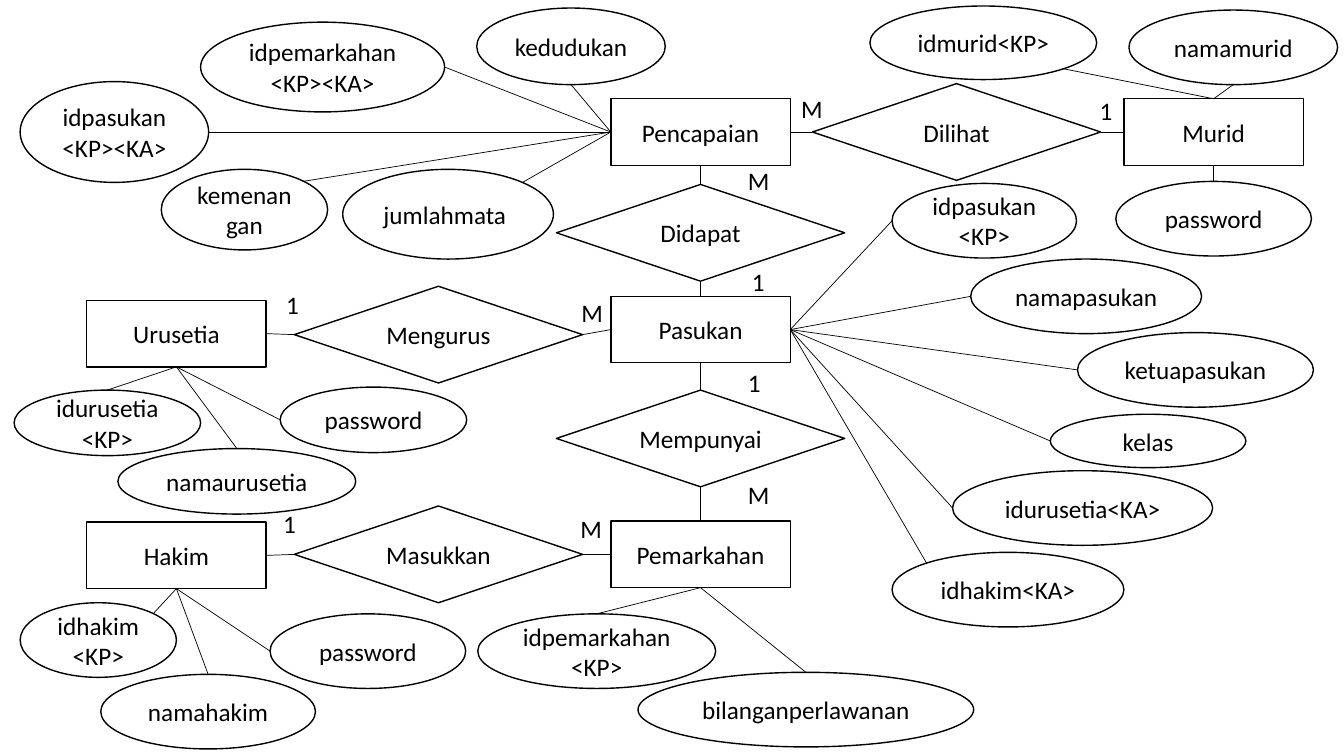
from pptx import Presentation
from pptx.dml.color import RGBColor
from pptx.enum.shapes import MSO_CONNECTOR as CXN, MSO_SHAPE as SHP
from pptx.enum.text import MSO_ANCHOR as ANCHOR, MSO_AUTO_SIZE as FIT, PP_ALIGN as ALIGN
from pptx.oxml.ns import qn
from pptx.util import Inches, Pt

COLS, ROWS = 133.33, 75
CELL = Inches(0.1)
INK, PAPER = "000000", "FFFFFF"
FONT = {"name": "Calibri", "size": Pt(18)}
TOP, LEFT, BOTTOM, RIGHT = range(4)
ENTITY_SIZE = (17.8, 6.6)
DIAMOND_SIZE = (28.6, 9.6)
RIM = {"n": (0.5, 0), "w": (0, 0.5), "s": (0.5, 1), "e": (1, 0.5),
       "nw": (0.15, 0.15), "ne": (0.85, 0.15), "se": (0.85, 0.85)}

# name: (column, row, side that holds the attributes, attributes)
ENTITIES = {
    "Pemarkahan": (60.6, 51.7, BOTTOM, [
        ("idpemarkahan<KP>", -13.2, 9.2, 23.6, 7.4, "n"),
        ("bilanganperlawanan", 2.7, 15, 33.3, 7.4, "n")]),
    "Pasukan": (60.6, 29.4, RIGHT, [
        ("idpasukan<KP>", 27.9, -11.2, 18.3, 7.4, "w"),
        ("namapasukan", 35.7, -3.7, 22.9, 7.4, "w"),
        ("ketuapasukan", 46.3, 3.6, 23.4, 7.4, "w"),
        ("kelas", 43.6, 11.7, 19.4, 5.3, "w"),
        ("idhakim<KA>", 27.9, 25.4, 23, 7.4, "nw"),
        ("idurusetia<KA>", 33.9, 17.3, 25.8, 7.4, "w")]),
    "Murid": (111.5, 9.8, TOP, [
        ("idmurid<KP>", -25.2, -9.2, 22.5, 7.3, "se"),
        ("password", -0.8, 8.2, 19.4, 7.4, "n"),
        ("namamurid", 0.5, -8.8, 20.7, 7.4, "s")]),
    "Hakim": (8.6, 51.8, BOTTOM, [
        ("password", 18.2, 9.1, 19.4, 7.4, "w"),
        ("namahakim", 1.4, 15.1, 21.3, 7.4, "n"),
        ("idhakim<KP>", -6.6, 8, 15.5, 7.4, "ne")]),
    "Urusetia": (8.6, 29.8, BOTTOM, [
        ("idurusetia<KP>", -7.2, 8.9, 18.5, 6.5, "n"),
        ("password", 19.2, 8.6, 18.5, 6.5, "w"),
        ("namaurusetia", 3.1, 14.7, 23.6, 6.5, "n")]),
    "Pencapaian": (60.6, 9.8, LEFT, [
        ("idpemarkahan<KP><KA>", -40.7, -7.6, 24.2, 8.9, "e"),
        ("idpasukan<KP><KA>", -58.6, -1.7, 18.7, 10, "e"),
        ("kedudukan", -13.3, -9, 18.7, 7.6, "s"),
        ("kemenangan", -44.6, 7, 16.5, 8, "ne"),
        ("jumlahmata", -26.6, 7, 20.9, 8.9, "ne")]),
}

RELATIONSHIPS = {
    "Mempunyai": (55.2, 38.7, [
        ("Pasukan", TOP, "1", 18, -2.8, 12.4),
        ("Pemarkahan", BOTTOM, "M", 18, 8.4, 12.4)]),
    "Didapat": (55.2, 18.3, [
        ("Pencapaian", TOP, "M", 18, -2.4, 12.4),
        ("Pasukan", BOTTOM, "1", 18.4, 7.6, 12.4)]),
    "Dilihat": (80.6, 8.3, [
        ("Pencapaian", LEFT, "M", -2.1, 0.5, 14.4),
        ("Murid", RIGHT, "1", 27.5, 0.7, 5.2)]),
    "Mengurus": (29.2, 28.4, [
        ("Urusetia", LEFT, "1", -1.8, -0.2, 4.9),
        ("Pasukan", RIGHT, "M", 27.5, 0.6, 11.2)]),
    "Masukkan": (29.2, 50.2, [
        ("Hakim", LEFT, "1", -2.1, -0.3, 12.7),
        ("Pemarkahan", RIGHT, "M", 27.4, 0.2, 5.8)]),
}


def grid(*cells):
    return [round(c * CELL) for c in cells]


def paint(target, color):
    if hasattr(target, "solid"):
        target.solid()
        target.fore_color.rgb = RGBColor.from_string(color)
    else:
        target.rgb = RGBColor.from_string(color)


def write(sp, text, align):
    p = sp.text_frame.paragraphs[0]
    p.alignment = align
    r = p.add_run()
    r.text = text
    for key, value in FONT.items():
        setattr(r.font, key, value)
    paint(r.font.color, INK)


def node(s, kind, box, text, align=ALIGN.CENTER):
    sp = s.shapes.add_shape(kind, *grid(*box))
    sp.shadow.inherit = False
    paint(sp.fill, PAPER)
    paint(sp.line.fill, INK)
    sp.line.width = Pt(1)
    tf = sp.text_frame
    for key, value in {"word_wrap": True, "vertical_anchor": ANCHOR.MIDDLE}.items():
        setattr(tf, key, value)
    write(sp, text, align)
    return sp


def link(s, start, end, side):
    line = s.shapes.add_connector(CXN.STRAIGHT, *start, *start)
    line.end_connect(end, side)
    paint(line.line.fill, INK)
    line.line.width = Pt(0.5)
    sp_pr = line._element.spPr
    sp_pr.append(sp_pr.makeelement(qn("a:effectLst"), {}))
    return line


def label(s, box, text):
    sp = s.shapes.add_textbox(*grid(*box))
    for key, value in {"word_wrap": True, "auto_size": FIT.SHAPE_TO_FIT_TEXT}.items():
        setattr(sp.text_frame, key, value)
    write(sp, text, ALIGN.LEFT)


def entity(s, box, name, side, attributes):
    x, y, *size = box
    sp = node(s, SHP.RECTANGLE, box, name)
    for text, dx, dy, w, h, rim in attributes:
        align = ALIGN.LEFT if text == "jumlahmata" else ALIGN.CENTER
        node(s, SHP.OVAL, (x + dx, y + dy, w, h), text, align)
    for text, dx, dy, w, h, rim in attributes:
        rx, ry = RIM[rim]
        near = BOTTOM if side == TOP and dy > 0 else side
        link(s, grid(x + dx + rx * w, y + dy + ry * h), sp, near)
    return sp


def relationship(s, box, name, links, entities):
    x, y, *size = box
    sp = node(s, SHP.FLOWCHART_DECISION, box, name)
    for owner, side, count, dx, dy, w in links:
        line = link(s, grid(x, y), entities[owner], (side + 2) % 4)
        line.begin_connect(sp, side)
        label(s, (x + dx, y + dy, w, 4), count)


def main():
    prs = Presentation()
    prs.slide_width, prs.slide_height = grid(COLS, ROWS)
    s = prs.slides.add_slide(prs.slide_layouts[6])
    entities = {name: entity(s, (x, y, *ENTITY_SIZE), name, side, attributes)
                for name, (x, y, side, attributes) in ENTITIES.items()}
    for name, (x, y, links) in RELATIONSHIPS.items():
        relationship(s, (x, y, *DIAMOND_SIZE), name, links, entities)
    prs.save("out.pptx")


if __name__ == "__main__":
    main()
